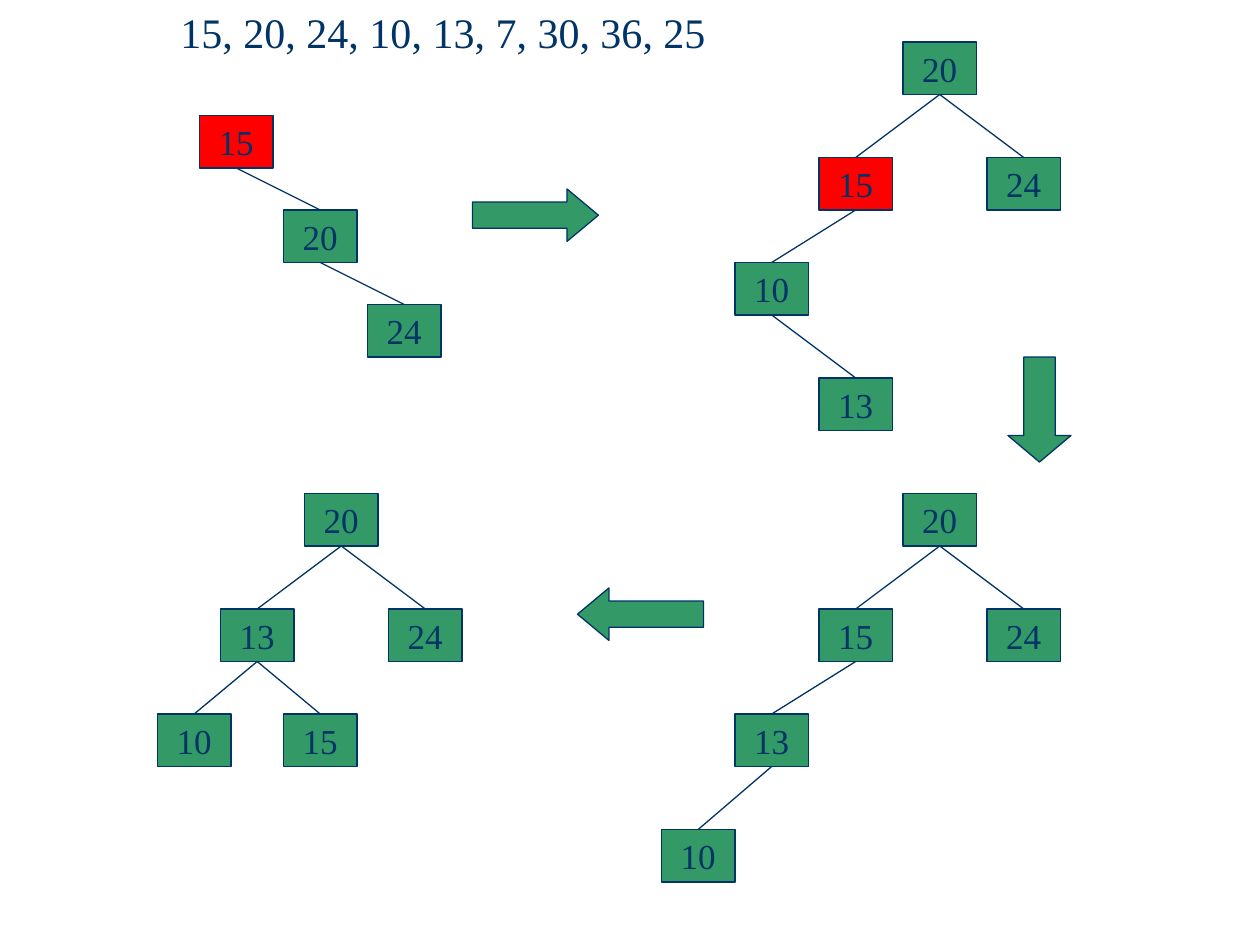
import pptx
import pptx.util
import pptx.dml.color
import pptx.enum.shapes
import pptx.enum.text
import pptx.oxml

RGBColor = pptx.dml.color.RGBColor
NAVY = RGBColor(0x00, 0x33, 0x66)
GREEN = RGBColor(0x33, 0x99, 0x66)
RED = RGBColor(0xFF, 0x00, 0x00)
FONT = "Times New Roman"
SHAPES = pptx.enum.shapes.MSO_SHAPE

# Grid of 120 columns by 90 rows, twelve to the inch
COLUMNS, ROWS = 120, 90
CELL = pptx.util.Inches(1) // 12
NODE_WIDTH, NODE_HEIGHT = 7, 5

# Each node: value, column, row, index of its parent in the tree, colour
TREES = [
    [(15, 19, 11, None, RED), (20, 27, 20, 0, GREEN), (24, 35, 29, 1, GREEN)],
    [(20, 86, 4, None, GREEN), (15, 78, 15, 0, RED), (24, 94, 15, 0, GREEN),
     (10, 70, 25, 1, GREEN), (13, 78, 36, 3, GREEN)],
    [(20, 86, 47, None, GREEN), (15, 78, 58, 0, GREEN), (24, 94, 58, 0, GREEN),
     (13, 70, 68, 1, GREEN), (10, 63, 79, 3, GREEN)],
    [(20, 29, 47, None, GREEN), (13, 21, 58, 0, GREEN), (24, 37, 58, 0, GREEN),
     (15, 27, 68, 1, GREEN), (10, 15, 68, 1, GREEN)],
]

# Each arrow: shape, column, row, width, height, head length
STEP_ARROWS = [
    (SHAPES.RIGHT_ARROW, 45, 18, 12, 5, 0.6),
    (SHAPES.DOWN_ARROW, 96, 34, 6, 10, 0.42),
    (SHAPES.LEFT_ARROW, 55, 56, 12, 5, 0.6),
]


def grid(*cells):
    return [round(cell * CELL) for cell in cells]


def style_text(paragraph, size):
    for run in paragraph.runs:
        run.font.name = FONT
        run.font.size = pptx.util.Pt(size)
        run.font.color.rgb = NAVY


def style_line(line):
    line.color.rgb = NAVY
    line.width = pptx.util.Pt(0.75)


def add_filled_shape(slide, kind, box, color):
    shape = slide.shapes.add_shape(kind, *grid(*box))
    shape.shadow.inherit = False
    shape.fill.solid()
    shape.fill.fore_color.rgb = color
    style_line(shape.line)
    return shape


def add_node(slide, value, column, row, color):
    box = (column, row, NODE_WIDTH, NODE_HEIGHT)
    shape = add_filled_shape(slide, SHAPES.RECTANGLE, box, color)
    frame = shape.text_frame
    frame.text = str(value)
    frame.word_wrap = False
    frame.vertical_anchor = pptx.enum.text.MSO_ANCHOR.MIDDLE
    paragraph = frame.paragraphs[0]
    paragraph.alignment = pptx.enum.text.PP_ALIGN.CENTER
    style_text(paragraph, 20)


def add_edge(slide, parent, child):
    """Join the bottom centre of the parent to the top centre of the child."""
    middle = NODE_WIDTH / 2
    ends = grid(parent[1] + middle, parent[2] + NODE_HEIGHT,
                child[1] + middle, child[2])
    edge = slide.shapes.add_connector(
        pptx.enum.shapes.MSO_CONNECTOR.STRAIGHT, *ends)
    style_line(edge.line)
    properties = edge._element.spPr
    properties.append(properties.makeelement(
        pptx.oxml.ns.qn("a:effectLst"), {}))


def add_tree(slide, nodes):
    for node in nodes:
        value, column, row, parent, color = node
        add_node(slide, value, column, row, color)
        if parent is not None:
            add_edge(slide, nodes[parent], node)


def add_step_arrow(slide, kind, column, row, width, height, head):
    arrow = add_filled_shape(slide, kind, (column, row, width, height), GREEN)
    arrow.adjustments[0] = 0.5
    arrow.adjustments[1] = head


def add_sequence(slide, text):
    box = slide.shapes.add_textbox(*grid(10, 0, 98, 4.8))
    frame = box.text_frame
    frame.text = text
    frame.word_wrap = True
    frame.auto_size = pptx.enum.text.MSO_AUTO_SIZE.SHAPE_TO_FIT_TEXT
    paragraph = frame.paragraphs[0]
    paragraph.space_before = pptx.util.Pt(4.8)
    indent = paragraph._p.get_or_add_pPr()
    indent.set("marL", str(pptx.util.Inches(0.5)))
    indent.set("indent", "0")
    style_text(paragraph, 24)


def main():
    presentation = pptx.Presentation()
    presentation.slide_width, presentation.slide_height = grid(COLUMNS, ROWS)
    slide = presentation.slides.add_slide(presentation.slide_layouts[6])

    # Keys to insert
    add_sequence(slide, "15, 20, 24, 10, 13, 7, 30, 36, 25")

    # Tree after each step, and the arrows between steps
    for nodes in TREES:
        add_tree(slide, nodes)
    for arrow in STEP_ARROWS:
        add_step_arrow(slide, *arrow)

    presentation.save("out.pptx")


if __name__ == "__main__":
    main()
